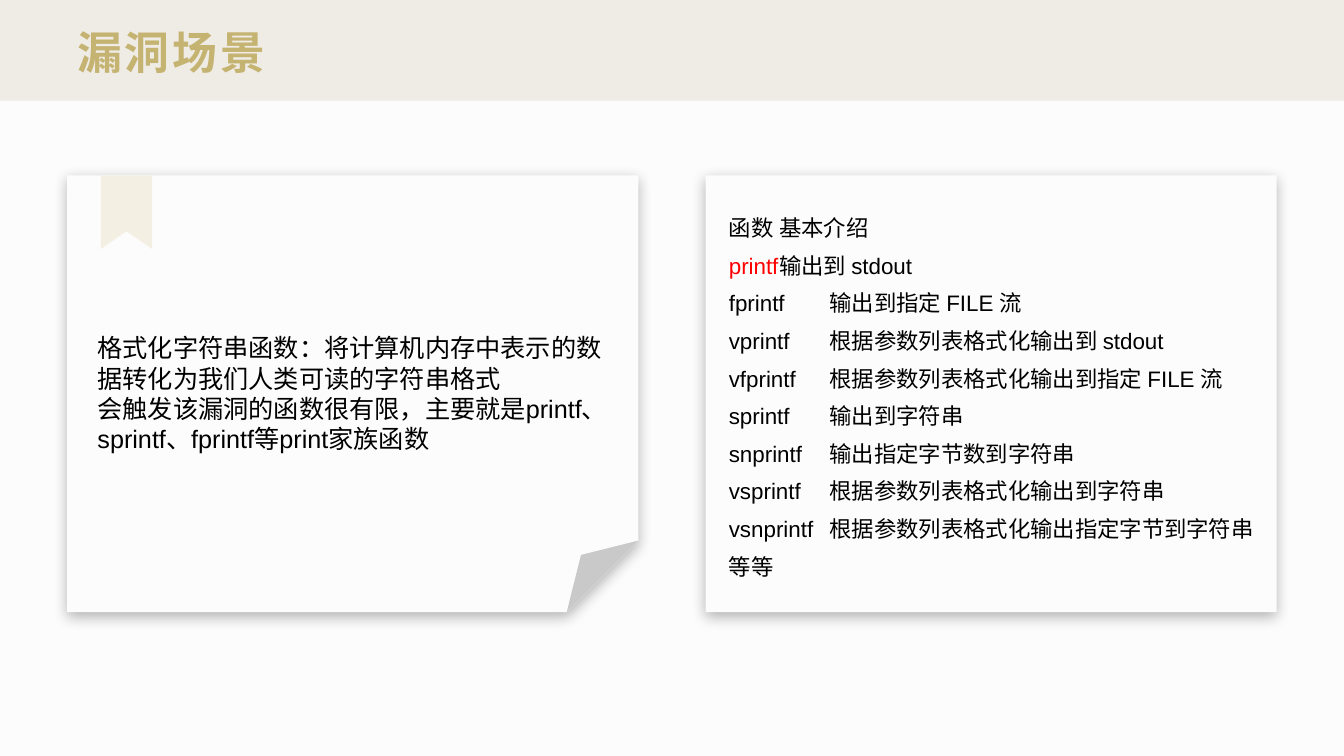
import dataclasses

import pptx
import pptx.dml.color
import pptx.enum.shapes
import pptx.enum.text
import pptx.oxml
import pptx.oxml.ns
import pptx.util


@dataclasses.dataclass(frozen=True)
class Theme:
    background: str = "FDFCFC"
    band: str = "EFEBE5"
    ribbon: str = "F3F0E3"
    title: str = "C5B371"
    text: str = "000000"
    highlight: str = "FF0000"
    shadow: str = "0D0D0D"
    font: str = "Arial"
    title_size: int = 32
    body_size: int = 18
    list_size: int = 16


@dataclasses.dataclass(frozen=True)
class Box:
    """A rectangle in points."""
    left: float
    top: float
    width: float
    height: float

    def inner(self, left, top, width, height):
        return Box(self.left + left, self.top + top, width, height)

    def lengths(self):
        return [pptx.util.Pt(value) for value in (self.left, self.top, self.width, self.height)]


THEME = Theme()
SLIDE = Box(0, 0, 960, 540)
HEADER = Box(0, 0, SLIDE.width, 72)
NOTE_CARD = Box(48, 125.3, 408, 312)
LIST_CARD = Box(504, 125.3, 408, 312)
TAB_STOP = 72

EXPLANATION = [
    "格式化字符串函数：将计算机内存中表示的数据转化为我们人类可读的字符串格式",
    "会触发该漏洞的函数很有限，主要就是printf、sprintf、fprintf等print家族函数",
]
FUNCTIONS = [
    ("函数", "基本介绍"),
    ("printf", "输出到 stdout"),
    ("fprintf", "输出到指定 FILE 流"),
    ("vprintf", "根据参数列表格式化输出到 stdout"),
    ("vfprintf", "根据参数列表格式化输出到指定 FILE 流"),
    ("sprintf", "输出到字符串"),
    ("snprintf", "输出指定字节数到字符串"),
    ("vsprintf", "根据参数列表格式化输出到字符串"),
    ("vsnprintf", "根据参数列表格式化输出指定字节到字符串"),
]
HIGHLIGHTED = "printf"


def rgb(color):
    return pptx.dml.color.RGBColor.from_string(color)


def append_xml(parent, tag, attributes="", content=""):
    """Append one drawing element with its attributes and content."""
    namespace = pptx.oxml.ns.nsdecls("a")
    parent.append(pptx.oxml.parse_xml(
        f"<a:{tag} {namespace} {attributes}>{content}</a:{tag}>"))


def paint(shape, color):
    shape.shadow.inherit = False
    shape.fill.solid()
    shape.fill.fore_color.rgb = rgb(color)
    shape.line.fill.background()


def add_block(slide, kind, box, color):
    shape = slide.shapes.add_shape(kind, *box.lengths())
    paint(shape, color)
    return shape


def cast_shadow(shape):
    effects = shape.element.spPr.find(pptx.oxml.ns.qn("a:effectLst"))
    append_xml(effects, "outerShdw",
               f'blurRad="{pptx.util.Pt(10)}" dist="{pptx.util.Pt(3)}" dir="5400000" '
               'algn="t" rotWithShape="0"',
               f'<a:srgbClr val="{THEME.shadow}"><a:alpha val="30000"/></a:srgbClr>')


def place_text(placeholder, box, anchor):
    """Move a placeholder to the box, in front of the other shapes."""
    placeholder.left, placeholder.top, placeholder.width, placeholder.height = box.lengths()
    placeholder.element.getparent().append(placeholder.element)
    frame = placeholder.text_frame
    frame.word_wrap = True
    frame.auto_size = pptx.enum.text.MSO_AUTO_SIZE.NONE
    frame.vertical_anchor = anchor
    frame.margin_left = frame.margin_right = pptx.util.Pt(7.2)
    frame.margin_top = frame.margin_bottom = pptx.util.Pt(3.6)
    return frame


def add_run(paragraph, text, size, color, bold=False):
    run = paragraph.add_run()
    run.text = text
    run.font.name = THEME.font
    run.font.size = pptx.util.Pt(size)
    run.font.bold = bold
    run.font.color.rgb = rgb(color)
    return run


def fill_lines(frame, lines, size, spacing):
    """Write each line, a list of (text, color) pairs, as a plain paragraph."""
    for number, line in enumerate(lines):
        paragraph = frame.add_paragraph() if number else frame.paragraphs[0]
        paragraph.alignment = pptx.enum.text.PP_ALIGN.LEFT
        paragraph.line_spacing = spacing
        paragraph.space_before = paragraph.space_after = pptx.util.Pt(0)
        properties = paragraph._p.get_or_add_pPr()
        properties.set("marL", "0")
        properties.set("indent", "0")
        append_xml(properties, "buNone")
        append_xml(properties, "tabLst",
                   content=f'<a:tab pos="{pptx.util.Pt(TAB_STOP)}" algn="l"/>')
        for text, color in line:
            add_run(paragraph, text, size, color)


def add_header(slide, box):
    add_block(slide, pptx.enum.shapes.MSO_SHAPE.RECTANGLE, box, THEME.band)
    frame = place_text(slide.shapes.title, box.inner(48, 12, 864, 48),
                       pptx.enum.text.MSO_ANCHOR.BOTTOM)
    paragraph = frame.paragraphs[0]
    paragraph.alignment = pptx.enum.text.PP_ALIGN.LEFT
    run = add_run(paragraph, "漏洞场景", THEME.title_size, THEME.title, bold=True)
    run.font._element.set("spc", "200")


def add_ribbon(slide, box):
    left, top, width, height = box.lengths()
    right, bottom = left + width, top + height
    notch = (left + width / 2, top + height * 0.76)
    builder = slide.shapes.build_freeform(left, top)
    builder.add_line_segments([(right, top), (right, bottom), notch, (left, bottom)])
    paint(builder.convert_to_shape(), THEME.ribbon)


def add_note_card(slide, placeholder, box):
    card = add_block(slide, pptx.enum.shapes.MSO_SHAPE.FOLDED_CORNER, box, THEME.background)
    fold = card.element.spPr.prstGeom.get_or_add_avLst()
    append_xml(fold, "gd", 'name="adj" fmla="val 16400"')
    cast_shadow(card)
    add_ribbon(slide, box.inner(24, 0, 36.7, 52.6))
    frame = place_text(placeholder, box.inner(14.4, 108.7, 379.4, 94.3),
                       pptx.enum.text.MSO_ANCHOR.TOP)
    fill_lines(frame, [[(text, THEME.text)] for text in EXPLANATION], THEME.body_size, 1.0)


def add_list_card(slide, placeholder, box):
    card = add_block(slide, pptx.enum.shapes.MSO_SHAPE.RECTANGLE, box, THEME.background)
    cast_shadow(card)
    frame = place_text(placeholder, box.inner(9.4, 16.6, box.width - 9.4, 278.6),
                       pptx.enum.text.MSO_ANCHOR.TOP)
    lines = [[(name, THEME.highlight if name == HIGHLIGHTED else THEME.text),
              ("\t" + description, THEME.text)] for name, description in FUNCTIONS]
    lines.append([("等等", THEME.text)])
    fill_lines(frame, lines, THEME.list_size, 1.4)


def main():
    presentation = pptx.Presentation()
    presentation.slide_width, presentation.slide_height = SLIDE.lengths()[2:]
    slide = presentation.slides.add_slide(presentation.slide_layouts.get_by_name("Two Content"))
    slide.background.fill.solid()
    slide.background.fill.fore_color.rgb = rgb(THEME.background)
    note_text, list_text = slide.placeholders[1], slide.placeholders[2]
    add_header(slide, HEADER)
    add_list_card(slide, list_text, LIST_CARD)
    add_note_card(slide, note_text, NOTE_CARD)
    presentation.save("out.pptx")


if __name__ == "__main__":
    main()
